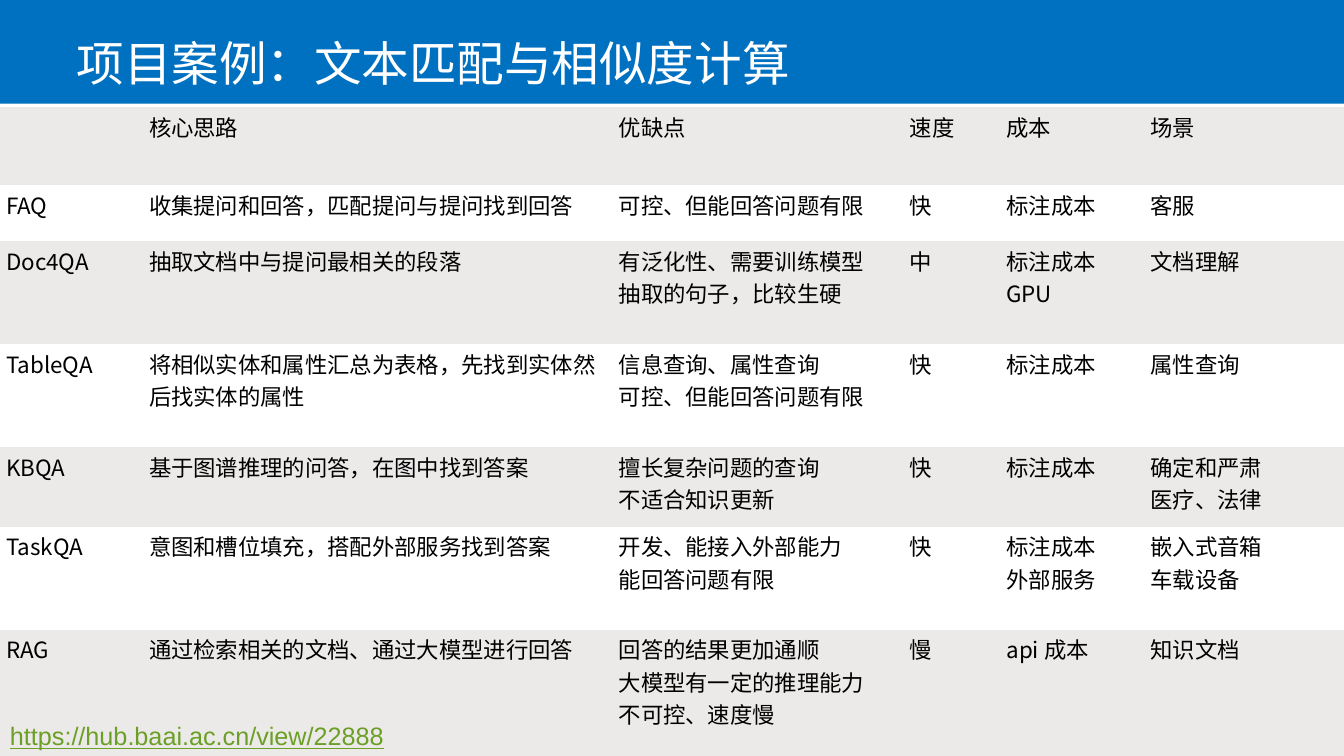
from typing import NamedTuple

from lxml.etree import SubElement
from pptx import Presentation
from pptx.dml.color import RGBColor
from pptx.enum.shapes import MSO_SHAPE
from pptx.enum.text import MSO_ANCHOR, PP_ALIGN
from pptx.oxml.ns import qn
from pptx.util import Pt

BLUE = RGBColor(0x00, 0x70, 0xC0)
WHITE = RGBColor(0xFF, 0xFF, 0xFF)
BLACK = RGBColor(0x00, 0x00, 0x00)
GREY = RGBColor(0xEC, 0xEA, 0xE9)
GREEN = RGBColor(0x6B, 0x9F, 0x25)
CJK_FONT = "Noto Sans CJK SC"
NO_STYLE = "{2D5ABB26-0587-4C30-8999-92F81FD0307C}"
WIDTH, HEIGHT = 960, 540
TABLE_TOP = 76.5
COLUMN_WIDTHS = (102, 335.5, 208, 69, 103, 142.5)


class Row(NamedTuple):
    height: float
    method: str
    idea: str
    merits: str
    speed: str
    cost: str
    scene: str


ROWS = (
    Row(56, "", "核心思路", "优缺点", "速度", "成本", "场景"),
    Row(40, "FAQ", "收集提问和回答，匹配提问与提问找到回答",
        "可控、但能回答问题有限", "快", "标注成本", "客服"),
    Row(73.5, "Doc4QA", "抽取文档中与提问最相关的段落",
        "有泛化性、需要训练模型\n抽取的句子，比较生硬", "中",
        "标注成本\nGPU", "文档理解"),
    Row(73.5, "TableQA", "将相似实体和属性汇总为表格，先找到实体然后找实体的属性",
        "信息查询、属性查询\n可控、但能回答问题有限", "快", "标注成本", "属性查询"),
    Row(57, "KBQA", "基于图谱推理的问答，在图中找到答案",
        "擅长复杂问题的查询\n不适合知识更新", "快", "标注成本",
        "确定和严肃\n医疗、法律"),
    Row(73.5, "TaskQA", "意图和槽位填充，搭配外部服务找到答案",
        "开发、能接入外部能力\n能回答问题有限", "快", "标注成本\n外部服务",
        "嵌入式音箱\n车载设备"),
    Row(90, "RAG", "通过检索相关的文档、通过大模型进行回答",
        "回答的结果更加通顺\n大模型有一定的推理能力\n不可控、速度慢", "慢",
        "api 成本", "知识文档"),
)


def format_runs(tf, size: float, color: RGBColor, font: str = CJK_FONT) -> None:
    """Give every run one size, colour and font, for Latin and East Asian text."""
    for p in tf.paragraphs:
        for r in p.runs:
            r.font.size = Pt(size)
            r.font.color.rgb = color
            r.font.name = font
            SubElement(r.font._element, qn("a:ea")).set("typeface", font)


def add_title(s) -> None:
    title = s.shapes.title
    bar = s.shapes.add_shape(MSO_SHAPE.RECTANGLE, 0, 0, Pt(WIDTH), Pt(74))
    bar.shadow.inherit = False
    bar.fill.solid()
    bar.fill.fore_color.rgb = BLUE
    bar.line.fill.background()
    title.element.addprevious(bar.element)

    title.left, title.top, title.width, title.height = Pt(47.5), 0, Pt(847), Pt(66)
    tf = title.text_frame
    tf.text = "项目案例：文本匹配与相似度计算"
    tf.vertical_anchor = MSO_ANCHOR.BOTTOM
    tf.margin_bottom = Pt(0.6)
    tf.paragraphs[0].alignment = PP_ALIGN.LEFT
    format_runs(tf, 34, WHITE)


def add_comparison(s) -> None:
    frame = s.shapes.add_table(
        len(ROWS), len(COLUMN_WIDTHS), 0, Pt(TABLE_TOP),
        Pt(WIDTH), Pt(sum(row.height for row in ROWS)))
    table = frame.table
    table.first_row = table.horz_banding = False
    next(frame.element.iter(qn("a:tableStyleId"))).text = NO_STYLE
    for column, width in zip(table.columns, COLUMN_WIDTHS):
        column.width = Pt(width)
    for i, row in enumerate(ROWS):
        table.rows[i].height = Pt(row.height)
        for cell, text in zip(table.rows[i].cells, row[1:]):
            cell.margin_left = cell.margin_right = Pt(4.5)
            cell.margin_top = cell.margin_bottom = Pt(2.25)
            cell.fill.solid()
            cell.fill.fore_color.rgb = WHITE if i % 2 else GREY
            cell.text_frame.text = text
            format_runs(cell.text_frame, 16, BLACK)


def add_source_address(s) -> None:
    tf = s.shapes.add_textbox(0, Pt(511), Pt(480), Pt(29)).text_frame
    tf.word_wrap = True
    tf.text = "https://hub.baai.ac.cn/view/22888"
    format_runs(tf, 18, GREEN, "Arial")
    tf.paragraphs[0].runs[0].font.underline = True


def main() -> None:
    prs = Presentation()
    prs.slide_width, prs.slide_height = Pt(WIDTH), Pt(HEIGHT)
    s = prs.slides.add_slide(prs.slide_layouts.get_by_name("Title Only"))
    add_title(s)
    add_comparison(s)
    add_source_address(s)
    prs.save("out.pptx")


if __name__ == "__main__":
    main()
